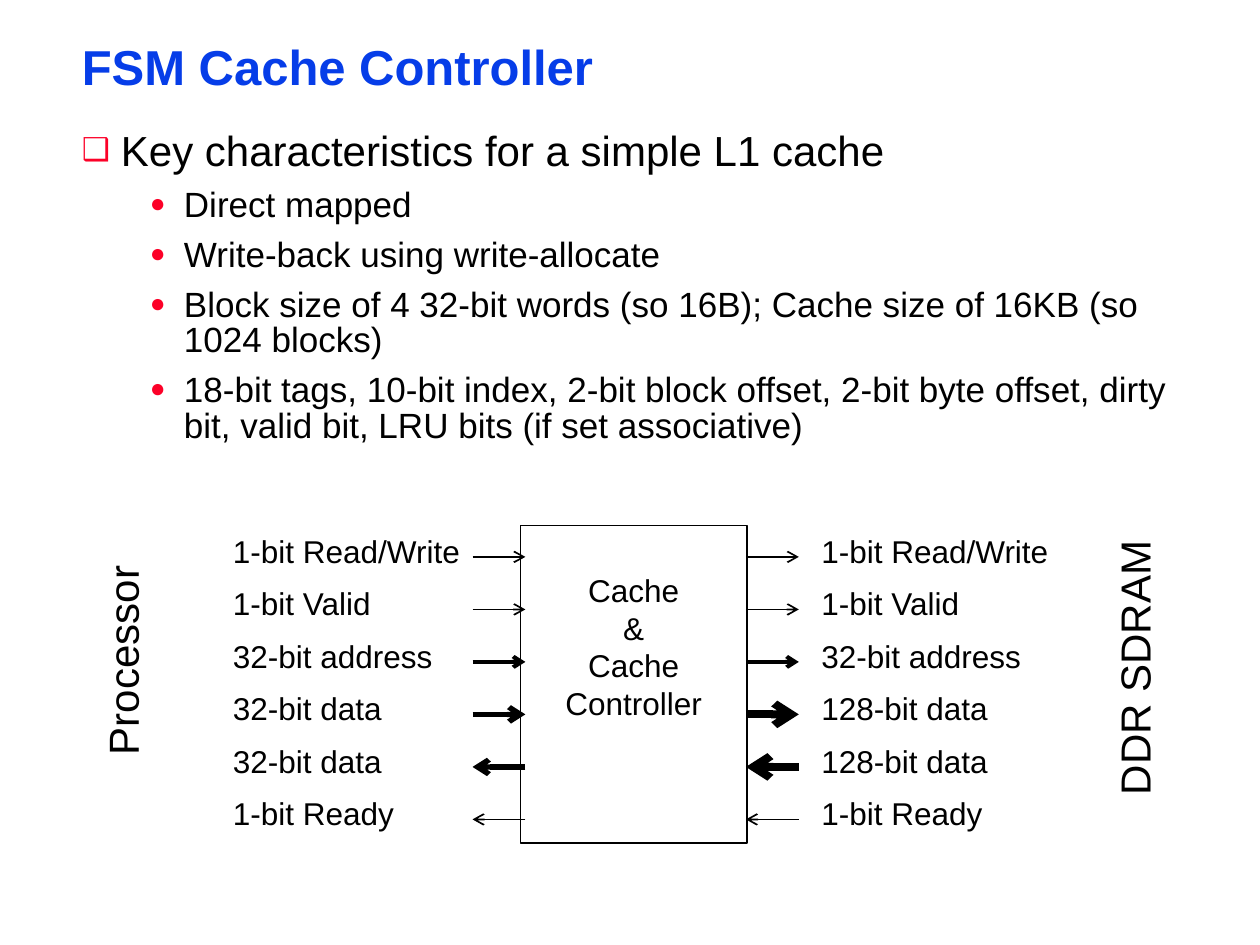
from pptx import Presentation
from pptx import util as u
from pptx.dml.color import RGBColor
from pptx.enum import shapes, text
from pptx.oxml.ns import qn
from lxml import etree

# Content
TITLE = "FSM Cache Controller"
HEADING = "Key characteristics for a simple L1 cache"
POINTS = [
    "Direct mapped",
    "Write-back using write-allocate",
    "Block size of 4 32-bit words (so 16B); Cache size of 16KB (so 1024 blocks)",
    "18-bit tags, 10-bit index, 2-bit block offset, 2-bit byte offset, "
    "dirty bit, valid bit, LRU bits (if set associative)",
]
CONTROLLER = ["Cache", "&", "Cache", "Controller"]
# Signal label, line width, direction (1 = left to right)
PROCESSOR_SIGNALS = [
    ("1-bit Read/Write", 1, 1),
    ("1-bit Valid", 1, 1),
    ("32-bit address", 2.25, 1),
    ("32-bit data", 3, 1),
    ("32-bit data", 3, -1),
    ("1-bit Ready", 1, -1),
]
MEMORY_SIGNALS = PROCESSOR_SIGNALS[:3] + [
    ("128-bit data", 4.5, 1),
    ("128-bit data", 4.5, -1),
    ("1-bit Ready", 1, -1),
]
# Signals, label left, arrow left
SIDES = [(PROCESSOR_SIGNALS, 1.75, 3.75), (MEMORY_SIGNALS, 6.42, 5.92)]
# Unit name, box before rotation
UNITS = [("Processor", (0.11, 4.98, 1.72, 0.5)),
         ("DDR SDRAM", (7.88, 5.04, 2.24, 0.5))]

SIGNAL_TOP, SIGNAL_STEP = 4.17, 2.5 / 6
ARROW_LENGTH, ARROW_DROP = 0.42, 0.25
BLACK, BLUE, RED = "000000", "063DE8", "FC0128"


def color(value):
    return RGBColor.from_string(value)


def place(shape, box):
    shape.left, shape.top, shape.width, shape.height = map(u.Inches, box)


def add_run(paragraph, words, size, value=BLACK, bold=False):
    run = paragraph.add_run()
    run.text = words
    run.font.name = "Arial"
    run.font.size = u.Pt(size)
    run.font.bold = bold
    run.font.color.rgb = color(value)


def set_bullet(paragraph, mark, margin, indent):
    props = paragraph._p.get_or_add_pPr()
    props.set("marL", str(u.Inches(margin)))
    props.set("indent", str(u.Inches(indent)))
    bullet_color = etree.SubElement(props, qn("a:buClr"))
    etree.SubElement(bullet_color, qn("a:srgbClr"), val=RED)
    etree.SubElement(props, qn("a:buSzPct"), val="75000")
    etree.SubElement(props, qn("a:buFont"), typeface="Arial")
    etree.SubElement(props, qn("a:buChar"), char=mark)


def prepare_placeholder(shape, box):
    place(shape, box)
    frame = shape.text_frame
    frame.margin_left = frame.margin_right = u.Inches(0.07)
    frame.margin_top = frame.margin_bottom = u.Inches(0.03)
    frame.word_wrap = True
    frame.auto_size = text.MSO_AUTO_SIZE.NONE
    return frame


def add_label(slide, words, box, size, rotation=0):
    label = slide.shapes.add_textbox(*map(u.Inches, box))
    label.rotation = rotation
    label.text_frame.word_wrap = False
    add_run(label.text_frame.paragraphs[0], words, size)


def add_arrow(slide, start, end, y, width):
    arrow = slide.shapes.add_connector(
        shapes.MSO_CONNECTOR.STRAIGHT,
        u.Inches(start), u.Inches(y), u.Inches(end), u.Inches(y))
    arrow.line.color.rgb = color(BLACK)
    arrow.line.width = u.Pt(width)
    etree.SubElement(arrow.line._get_or_add_ln(), qn("a:tailEnd"), type="arrow")
    etree.SubElement(arrow._element.spPr, qn("a:effectLst"))


def add_points(frame):
    entries = [(HEADING, 0)] + [(point, 1) for point in POINTS]
    for i, (words, level) in enumerate(entries):
        paragraph = frame.add_paragraph() if i else frame.paragraphs[0]
        paragraph.level = level
        paragraph.line_spacing = 0.85 if level else 0.9
        paragraph.space_before = u.Pt(8 if level else 0)
        if level:
            set_bullet(paragraph, "●", 0.81, -0.27)
        else:
            set_bullet(paragraph, "❑", 0.31, -0.31)
        add_run(paragraph, words, 20 if level else 24)


def add_controller(slide):
    controller = slide.shapes.add_shape(
        shapes.MSO_SHAPE.RECTANGLE, *map(u.Inches, (4.13, 4.17, 1.8, 2.52)))
    controller.shadow.inherit = False
    controller.fill.background()
    controller.line.color.rgb = color(BLACK)
    controller.line.width = u.Pt(0.75)
    frame = controller.text_frame
    frame.word_wrap = False
    frame.vertical_anchor = text.MSO_ANCHOR.TOP
    frame.margin_top = u.Inches(0.36)
    for i, words in enumerate(CONTROLLER):
        paragraph = frame.add_paragraph() if i else frame.paragraphs[0]
        paragraph.alignment = text.PP_ALIGN.CENTER
        add_run(paragraph, words, 18)


def main():
    prs = Presentation()
    prs.slide_width, prs.slide_height = u.Inches(10), u.Inches(7.5)
    slide = prs.slides.add_slide(prs.slide_layouts[1])

    # Title and list
    title = prepare_placeholder(slide.shapes.title, (0.58, 0.33, 8.92, 0.46))
    title.vertical_anchor = text.MSO_ANCHOR.MIDDLE
    heading = title.paragraphs[0]
    heading.alignment = text.PP_ALIGN.LEFT
    heading.line_spacing = 0.87
    add_run(heading, TITLE, 28, BLUE, True)
    add_points(prepare_placeholder(slide.placeholders[1], (0.58, 1, 9.08, 2.67)))

    # Controller between processor and memory
    add_controller(slide)
    for name, box in UNITS:
        add_label(slide, name, box, 24, 270)

    # Signals on both sides
    for signals, label_left, arrow_left in SIDES:
        for row, (name, width, direction) in enumerate(signals):
            top = SIGNAL_TOP + row * SIGNAL_STEP
            add_label(slide, name, (label_left, top, 2.02, 0.4), 18)
            ends = (arrow_left, arrow_left + ARROW_LENGTH)[::direction]
            add_arrow(slide, *ends, top + ARROW_DROP, width)

    prs.save("out.pptx")


if __name__ == "__main__":
    main()
